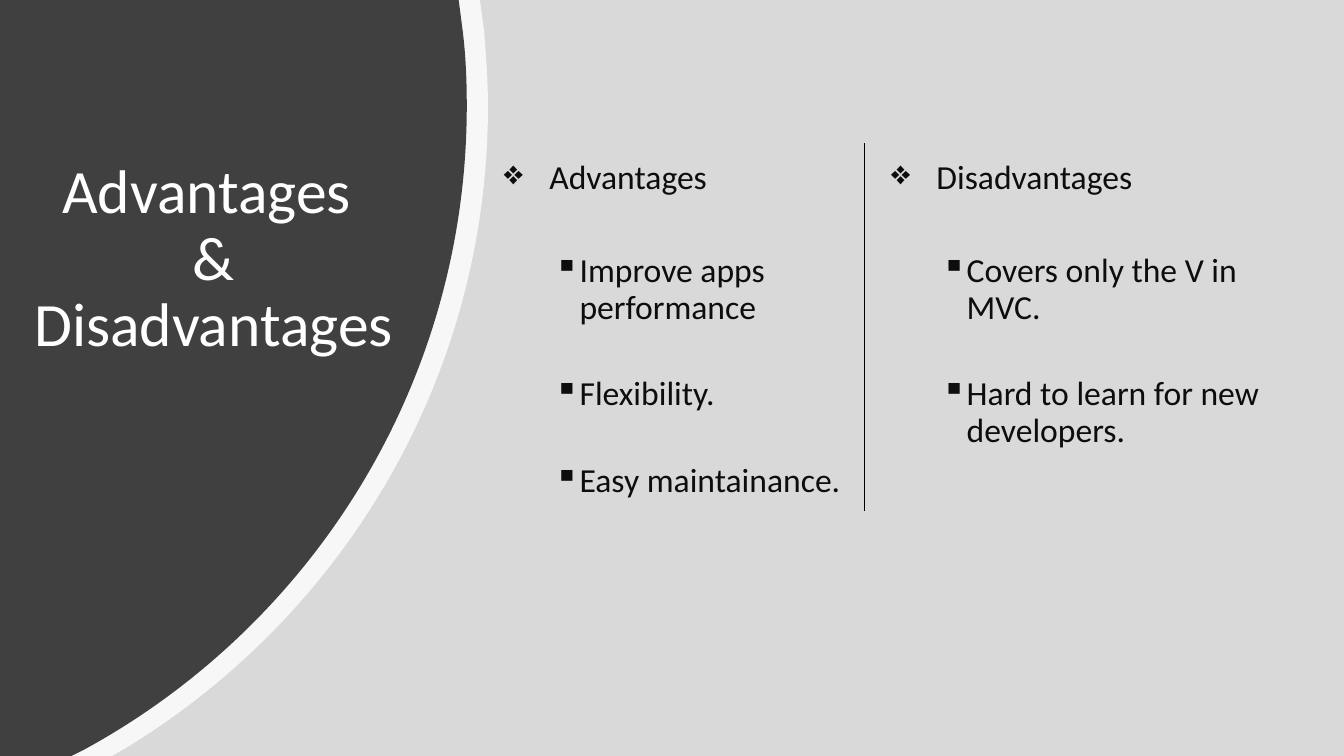
import pptx
import pptx.dml.color
import pptx.enum.shapes
import pptx.enum.text
import pptx.oxml
import pptx.oxml.ns
import pptx.util
from pptx.util import Inches

FONT, BULLET_FONT = "Calibri", "OpenSymbol"
DARK, INK, WHITE, BACKDROP, BLACK = "404040", "0D0D0D", "FFFFFF", "D9D9D9", "000000"
WIDTH, HEIGHT = 13.33, 7.5
COLUMN_TOP, COLUMN_HEIGHT = 1.54, 4.77

BAND = [
    [(4.76, 0)], [(4.8, 0.29)],
    [(4.82, 0.54), (4.84, 0.8), (4.84, 1.05)],
    [(4.84, 3.75), (3.4, 6.11), (1.25, 7.42)],
    [(1.11, HEIGHT)], [(0, HEIGHT)],
]
DISC = [
    [(4.55, 0)], [(4.59, 0.31)],
    [(4.62, 0.55), (4.63, 0.8), (4.63, 1.05)],
    [(4.63, 3.81), (3.09, 6.21), (0.83, 7.44)],
    [(0.71, HEIGHT)], [(0, HEIGHT)],
]
COLUMNS = [
    (4.9, 3.99, "Advantages",
     ["Improve apps performance", "Flexibility.", "Easy maintainance."]),
    (8.74, 3.87, "Disadvantages",
     ["Covers only the V in MVC.", "Hard to learn for new developers."]),
]


def color(value):
    """Return the colour for a hex string."""
    return pptx.dml.color.RGBColor.from_string(value)


def element(tag, attributes=""):
    """Return a new empty drawing element."""
    return pptx.oxml.parse_xml(f'<a:{tag} {pptx.oxml.ns.nsdecls("a")} {attributes}/>')


def apply_format(target, values):
    """Set each attribute named in a dict of format values."""
    for name, value in values.items():
        setattr(target, name, value)


def style_font(font, size, value):
    """Give a font the slide's typeface, a size and a colour."""
    apply_format(font, {"name": FONT, "size": pptx.util.Pt(size), "bold": False})
    font.color.rgb = color(value)


def paint(sp, value):
    """Fill a shape flatly, without outline or shadow."""
    sp.shadow.inherit = False
    sp.fill.solid()
    sp.fill.fore_color.rgb = color(value)
    sp.line.fill.background()


def bend(sp, outline):
    """Turn each three-point part of an outline into a cubic curve."""
    segments = iter(list(sp.element.iter(pptx.oxml.ns.qn("a:lnTo"))))
    for part in outline:
        group = [next(segments) for _ in part]
        if len(group) == 3:
            curve = element("cubicBezTo")
            group[0].addprevious(curve)
            for segment in group:
                curve.append(segment[0])
                segment.getparent().remove(segment)


def add_arc(s, outline, value, opacity=100):
    """Draw a curved panel starting at the slide's top left corner."""
    points = [(Inches(x), Inches(y)) for part in outline for x, y in part]
    builder = s.shapes.build_freeform(0, 0)
    builder.add_line_segments(points, close=True)
    sp = builder.convert_to_shape()
    bend(sp, outline)
    paint(sp, value)
    if opacity < 100:
        fill = sp.element.spPr.find(pptx.oxml.ns.qn("a:solidFill"))
        fill[0].append(element("alpha", f'val="{opacity * 1000}"'))


def add_backdrop(s):
    """Draw the grey ground and the two curved panels."""
    sp = s.shapes.add_shape(pptx.enum.shapes.MSO_SHAPE.RECTANGLE,
                            0, 0, Inches(WIDTH), Inches(HEIGHT))
    paint(sp, BACKDROP)
    add_arc(s, BAND, WHITE, 80)
    add_arc(s, DISC, DARK)


def add_title(s, left, top, width, height):
    """Place the title in front of the dark panel."""
    sp = s.shapes.title
    apply_format(sp, {"left": Inches(left), "top": Inches(top),
                      "width": Inches(width), "height": Inches(height)})
    sp.element.getparent().append(sp.element)
    tf = sp.text_frame
    apply_format(tf, {"word_wrap": True,
                      "auto_size": pptx.enum.text.MSO_AUTO_SIZE.NONE,
                      "vertical_anchor": pptx.enum.text.MSO_ANCHOR.TOP})
    p = tf.paragraphs[0]
    p.text = "Advantages \v&\vDisadvantages"
    apply_format(p, {"alignment": pptx.enum.text.PP_ALIGN.CENTER, "line_spacing": 0.9})
    for r in p.runs:
        style_font(r.font, 44, WHITE)


def add_bullet(p, text, mark, margin, hang, before):
    """Write one bulleted paragraph with a hanging indent."""
    r = p.add_run()
    r.text = text
    style_font(r.font, 24, INK)
    apply_format(p, {"line_spacing": 0.9, "space_before": pptx.util.Pt(before)})
    pPr = p._p.get_or_add_pPr()
    pPr.set("marL", str(Inches(margin)))
    pPr.set("indent", str(-Inches(hang)))
    pPr.append(element("buFont", f'typeface="{BULLET_FONT}"'))
    pPr.append(element("buChar", f'char="{mark}"'))


def add_column(s, left, top, width, height, heading, items):
    """Write a heading and its list of points."""
    sp = s.shapes.add_textbox(Inches(left), Inches(top), Inches(width), Inches(height))
    tf = sp.text_frame
    tf.word_wrap = True
    add_bullet(tf.paragraphs[0], heading, "❖", 0.45, 0.45, 10)
    for i, item in enumerate(items):
        add_bullet(tf.add_paragraph(), item, "▪", 0.75, 0.25, 36 if i else 41)


def add_divider(s, x, top, bottom):
    """Draw the thin rule between the columns."""
    line = s.shapes.add_connector(pptx.enum.shapes.MSO_CONNECTOR.STRAIGHT,
                                  Inches(x), Inches(top), Inches(x), Inches(bottom))
    line.line.color.rgb = color(BLACK)
    line.line.width = pptx.util.Pt(0.5)
    line.element.spPr.append(element("effectLst"))


def main():
    """Build the slide and save it."""
    prs = pptx.Presentation()
    apply_format(prs, {"slide_width": Inches(WIDTH), "slide_height": Inches(HEIGHT)})
    s = prs.slides.add_slide(prs.slide_layouts[5])
    add_backdrop(s)
    add_title(s, 0.22, COLUMN_TOP, 3.8, 2.36)
    for left, width, heading, items in COLUMNS:
        add_column(s, left, COLUMN_TOP, width, COLUMN_HEIGHT, heading, items)
    add_divider(s, 8.57, 1.42, 5.07)
    prs.save("out.pptx")


if __name__ == "__main__":
    main()
